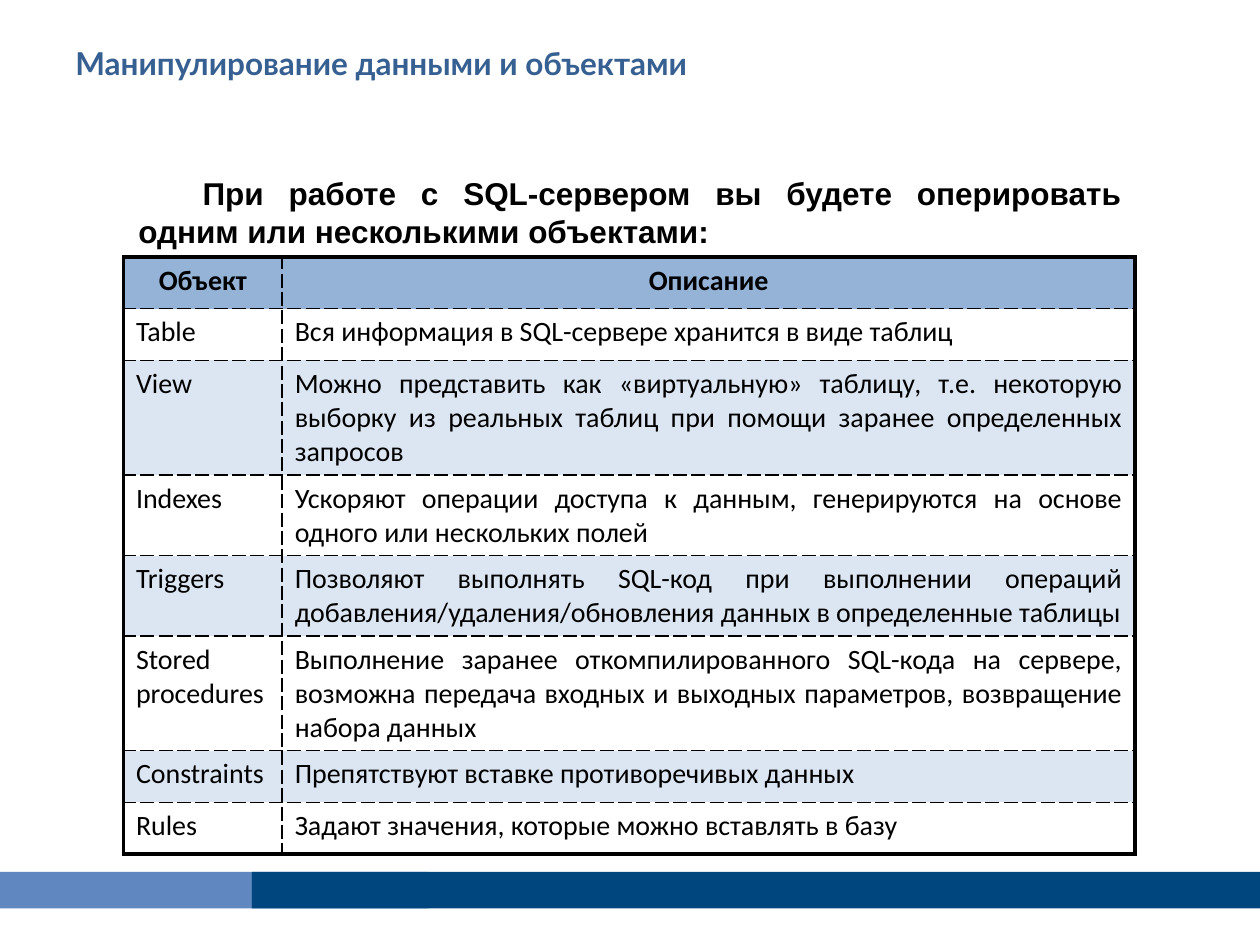
"""Build the slide about objects of an SQL server."""
from lxml import etree
from pptx import Presentation
from pptx import util as u
from pptx.dml import color
from pptx.enum import shapes, text
from pptx.oxml import ns

WIDTH, HEIGHT = u.Inches(10), u.Inches(7.5)
COLUMNS = (12.6, 67.7)
SHORT, MIDDLE, TALL = 5.47, 8.53, 12.13
ROWS = [
    (SHORT, "Объект", "Описание"),
    (SHORT, "Table", "Вся информация в SQL-сервере хранится в виде таблиц"),
    (TALL, "View", "Можно представить как «виртуальную» таблицу, т.е. некоторую "
     "выборку из реальных таблиц при помощи заранее определенных запросов"),
    (MIDDLE, "Indexes", "Ускоряют операции доступа к данным, генерируются на основе "
     "одного или нескольких полей"),
    (MIDDLE, "Triggers", "Позволяют выполнять SQL-код при выполнении операций "
     "добавления/удаления/обновления данных в определенные таблицы"),
    (TALL, "Stored\nprocedures", "Выполнение заранее откомпилированного SQL-кода на "
     "сервере, возможна передача входных и выходных параметров, возвращение набора данных"),
    (SHORT, "Constraints", "Препятствуют вставке противоречивых данных"),
    (SHORT, "Rules", "Задают значения, которые можно вставлять в базу"),
]


def rgb(value):
    """Turn a hex string into a colour."""
    return color.RGBColor.from_string(value)


def across(percent):
    """Give a share of the slide's width."""
    return u.Emu(round(WIDTH * percent / 100))


def down(percent):
    """Give a share of the slide's height."""
    return u.Emu(round(HEIGHT * percent / 100))


def place(x, y, w, h):
    """Give a frame from shares of the slide's size."""
    return across(x), down(y), across(w), down(h)


def write(tf, content, size, font, hue="000000", bold=False, align=None):
    """Write each line of the content as a paragraph with one run."""
    for i, line in enumerate(content.split("\n")):
        p = tf.paragraphs[0] if i == 0 else tf.add_paragraph()
        p.alignment = align
        r = p.add_run()
        r.text = line
        r.font.size, r.font.name, r.font.bold = u.Pt(size), font, bold
        r.font.color.rgb = rgb(hue)


def add_bar(s, frame, fill):
    """Add a plain filled bar."""
    sp = s.shapes.add_shape(shapes.MSO_SHAPE.RECTANGLE, *frame)
    sp.shadow.inherit = False
    sp.fill.solid()
    sp.fill.fore_color.rgb = rgb(fill)
    sp.line.fill.background()


def add_text(s, frame, content, size, font, **style):
    """Add a wrapped text box and return its text frame."""
    tf = s.shapes.add_textbox(*frame).text_frame
    tf.word_wrap = True
    write(tf, content, size, font, **style)
    return tf


def set_border(cell, side, outer):
    """Draw one cell side, solid on the table's outline and dashed inside."""
    ln = etree.SubElement(cell._tc.get_or_add_tcPr(), ns.qn(f"a:ln{side}"),
                          w=str(u.Pt(2.25 if outer else 1)))
    fill = etree.SubElement(ln, ns.qn("a:solidFill"))
    etree.SubElement(fill, ns.qn("a:srgbClr"), val="000000")
    etree.SubElement(ln, ns.qn("a:prstDash"), val="solid" if outer else "lgDash")


def add_objects_table(s, x, y):
    """Add the table of server objects."""
    frame = place(x, y, sum(COLUMNS), sum(row[0] for row in ROWS))
    table = s.shapes.add_table(len(ROWS), len(COLUMNS), *frame).table
    table.first_row = table.horz_banding = False
    for column, width in zip(table.columns, COLUMNS):
        column.width = across(width)
    last_row, last_column = len(ROWS) - 1, len(COLUMNS) - 1
    for i, (height, *contents) in enumerate(ROWS):
        table.rows[i].height = down(height)
        header = i == 0
        fill = "95B3D7" if header else ("DCE6F2", "FFFFFF")[i % 2]
        if i == 5:
            fill = "FFFFFF"
        align = text.PP_ALIGN.CENTER if header else text.PP_ALIGN.JUSTIFY
        for j, content in enumerate(contents):
            cell = table.cell(i, j)
            outline = {"L": j == 0, "R": j == last_column, "T": header, "B": i == last_row}
            for side, outer in outline.items():
                set_border(cell, side, outer)
            cell.fill.solid()
            cell.fill.fore_color.rgb = rgb(fill)
            write(cell.text_frame, content, 16, "Calibri", bold=header, align=align)


def main():
    """Build and save the slide."""
    prs = Presentation()
    prs.slide_width, prs.slide_height = WIDTH, HEIGHT
    s = prs.slides.add_slide(prs.slide_layouts[6])
    add_bar(s, place(0, 92.27, 34, 3.87), "6087BF")
    add_bar(s, place(20, 92.27, 80, 3.87), "00467E")
    add_text(s, place(5, 4, 90, 10.4), "Манипулирование данными и объектами",
             18, "Lato", hue="376092", bold=True)
    tf = add_text(s, place(10, 17.73, 80, 9.4),
                  "При работе с SQL-сервером вы будете оперировать "
                  "одним или несколькими объектами:",
                  18, "Arial", bold=True, align=text.PP_ALIGN.JUSTIFY)
    tf.paragraphs[0]._p.get_or_add_pPr().set("indent", str(across(5.1)))
    add_objects_table(s, 9.8, 27.2)
    prs.save("out.pptx")


if __name__ == "__main__":
    main()
